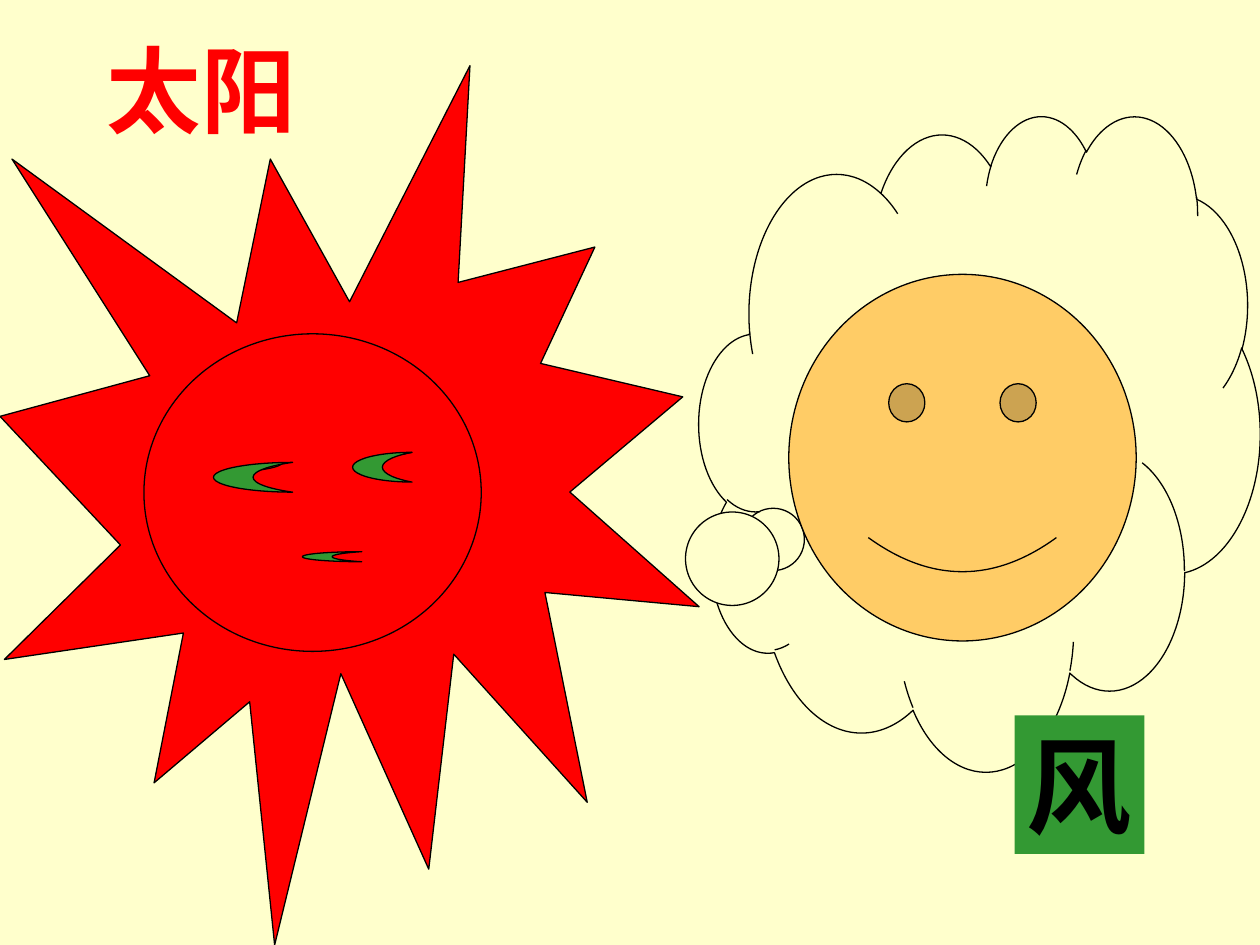
from lxml import etree
from pptx import Presentation
from pptx.dml.color import RGBColor
from pptx.enum.shapes import MSO_CONNECTOR, MSO_SHAPE
from pptx.enum.text import MSO_ANCHOR, MSO_AUTO_SIZE, PP_ALIGN
from pptx.oxml.ns import qn
from pptx.util import Pt

BURST, CLOUD = MSO_SHAPE.EXPLOSION1, MSO_SHAPE.CLOUD_CALLOUT
OVAL, MOON, ARC = MSO_SHAPE.OVAL, MSO_SHAPE.MOON, MSO_SHAPE.ARC
SMILEY = MSO_SHAPE.SMILEY_FACE
STRAIGHT = MSO_CONNECTOR.STRAIGHT
TOP, LEFT = MSO_ANCHOR.TOP, PP_ALIGN.LEFT
FIT_SHAPE = MSO_AUTO_SIZE.SHAPE_TO_FIT_TEXT

CREAM, RED, GREEN = "FFFFCC", "FF0000", "339933"
ORANGE, BLACK = "FFCC66", "000000"
FONT = "Times New Roman"
LINE_WIDTH = 0.75


def color(hex_value):
    return RGBColor.from_string(hex_value)


def paint(fill, hex_value):
    fill.solid()
    fill.fore_color.rgb = color(hex_value)


def outline(line):
    paint(line.fill, BLACK)
    line.width = Pt(LINE_WIDTH)


def add_figure(page, kind, bounds, fill=None, adjustments=()):
    """Add an outlined preset shape; without a fill it stays transparent."""
    shape = page.shapes.add_shape(kind, *map(Pt, bounds))
    shape.shadow.inherit = False
    for index, value in enumerate(adjustments):
        shape.adjustments[index] = value
    if fill:
        paint(shape.fill, fill)
    else:
        shape.fill.background()
    outline(shape.line)


def add_line(page, start, end):
    line = page.shapes.add_connector(STRAIGHT, *map(Pt, start + end))
    outline(line.line)
    etree.SubElement(line._element.spPr, qn("a:effectLst"))


def add_label(page, text, bounds, size, text_color, fill=None, wrap=True):
    box = page.shapes.add_textbox(*map(Pt, bounds))
    if fill:
        paint(box.fill, fill)
    frame = box.text_frame
    frame_format = {"word_wrap": wrap, "auto_size": FIT_SHAPE,
                    "vertical_anchor": TOP}
    for name, value in frame_format.items():
        setattr(frame, name, value)
    para = frame.paragraphs[0]
    para.alignment = LEFT
    span = para.add_run()
    span.text = text
    font_format = {"name": FONT, "size": Pt(size), "bold": True}
    for name, value in font_format.items():
        setattr(span.font, name, value)
    span.font.color.rgb = color(text_color)


def draw_sun(page):
    add_figure(page, BURST, (0, 37.5, 399.5, 502.5), RED)
    add_figure(page, OVAL, (82.25, 190.75, 192.75, 181.5), RED)
    # Brows lie behind the eyes
    add_figure(page, ARC, (93.5, 258.5, 68, 11.25), adjustments=(0, 54))
    add_line(page, (206.75, 264.25), (235.5, 258.5))
    right_eye = (201.5, 258.5, 34, 17)
    left_eye = (122, 264.25, 45.25, 17)
    mouth = (172.75, 315.25, 34, 5.75)
    for bounds in (right_eye, left_eye, mouth):
        add_figure(page, MOON, bounds, GREEN)


def draw_wind(page):
    add_figure(page, CLOUD, (399.5, 65.5, 320.5, 374.5), CREAM,
               (-0.345, 0.139))
    add_figure(page, SMILEY, (450.75, 156.75, 198.5, 209.5), ORANGE,
               (0.047,))


def main():
    deck = Presentation()
    deck.slide_width, deck.slide_height = Pt(720), Pt(540)
    page = deck.slides.add_slide(deck.slide_layouts[6])
    paint(page.background.fill, CREAM)
    draw_sun(page)
    draw_wind(page)
    add_label(page, "太阳", (54, 15, 216.75, 72), 54, RED)
    add_label(page, "风", (579.75, 408.75, 74.25, 79.25), 60, BLACK,
              fill=GREEN, wrap=False)
    deck.save("out.pptx")


if __name__ == "__main__":
    main()
